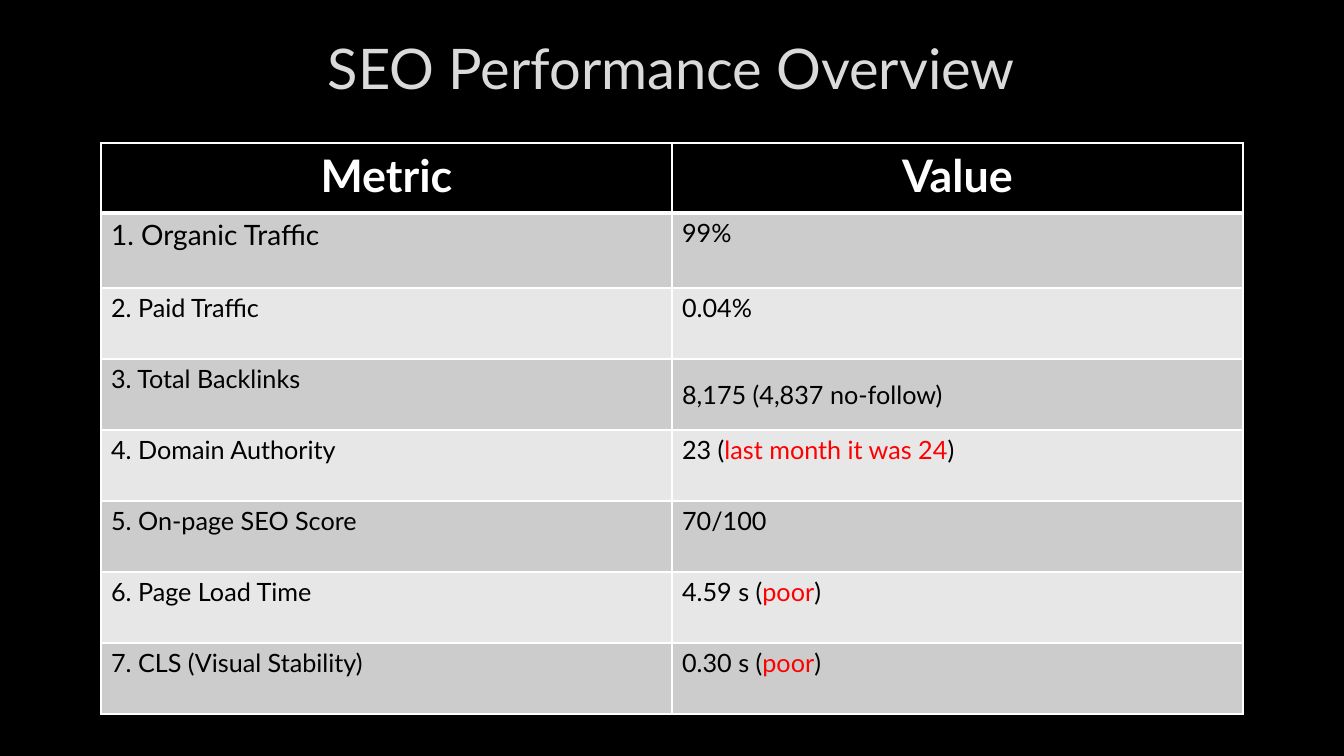
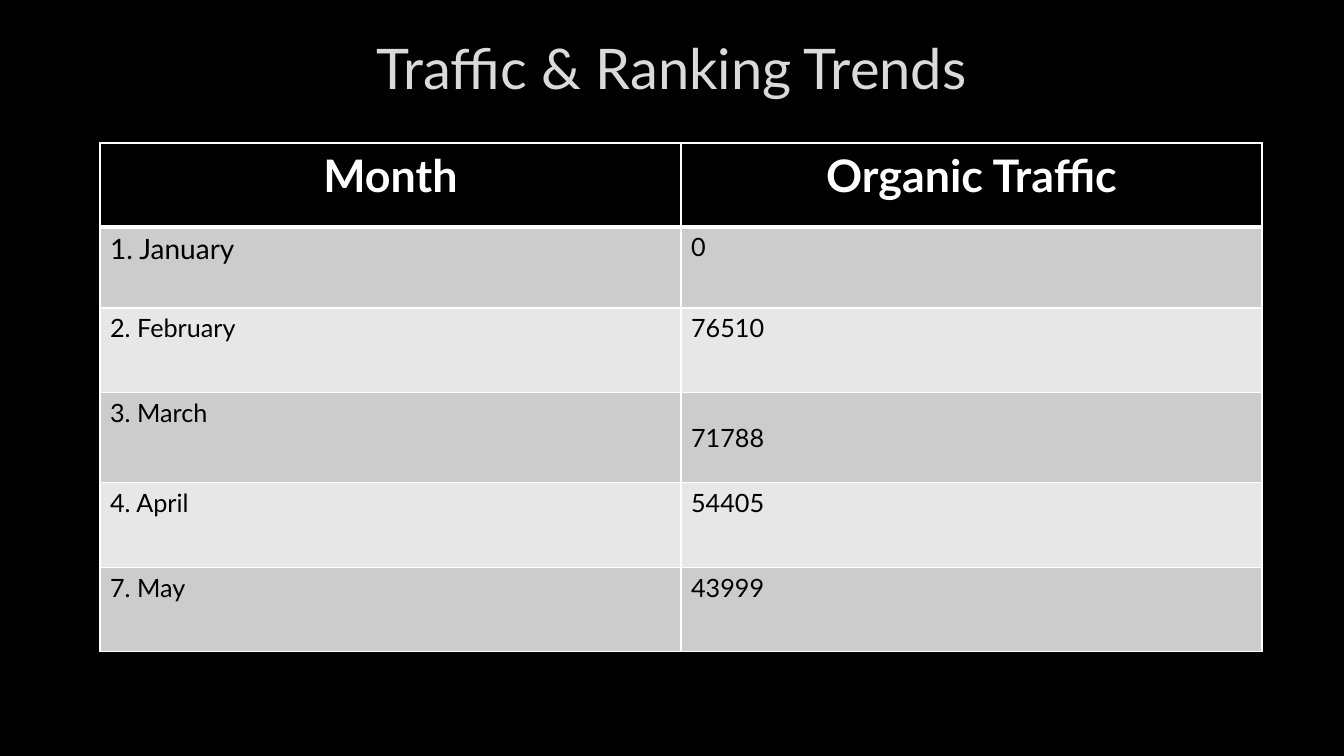
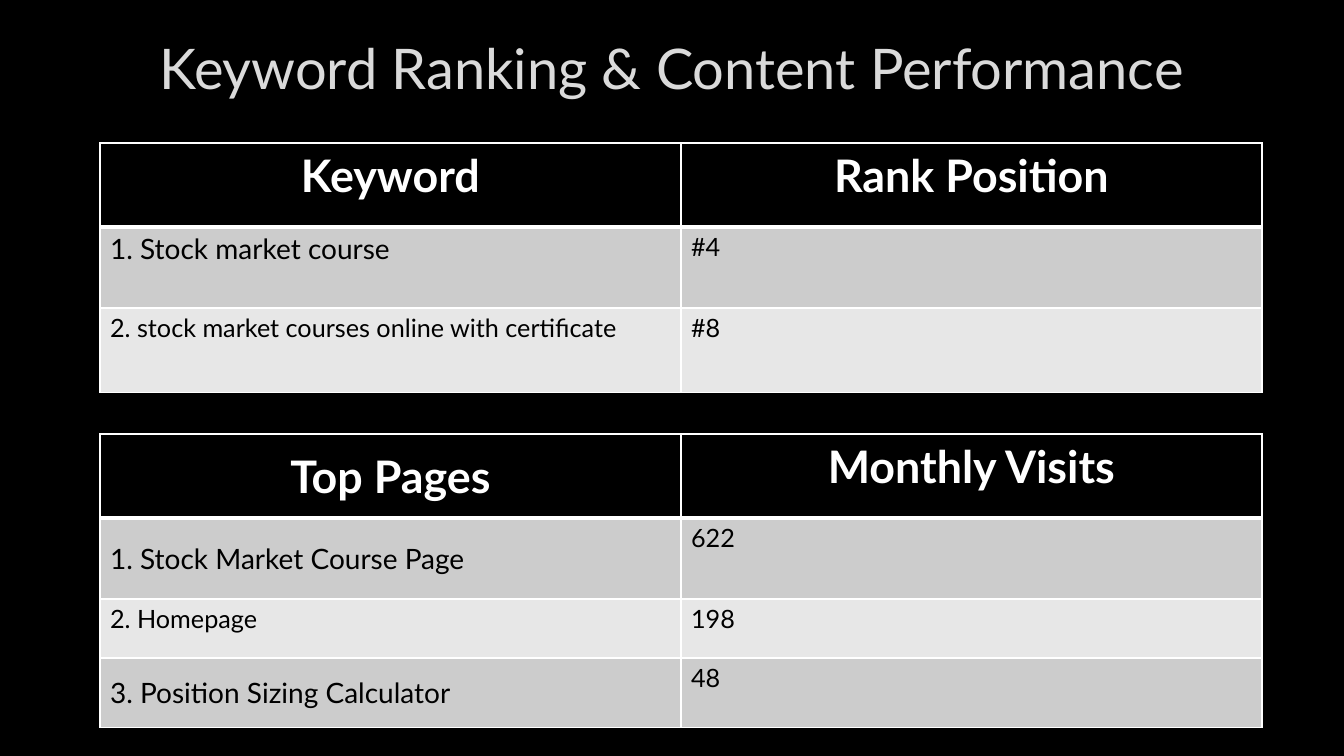
from lxml import etree
from pptx import Presentation
from pptx import util as u
from pptx.dml.color import RGBColor
from pptx.enum import text
from pptx.oxml import ns

PX = 12192000 // 1344
FONT = "Lato"
COLORS = {
    "background": "000000",
    "title": "DADADA",
    "header": "000000",
    "header_text": "FFFFFF",
    "body_text": "000000",
    "odd_row": "CCCCCC",
    "even_row": "E7E7E7",
    "warning": "FF0000",
    "border": "FFFFFF",
}

# Each cell is a string, or a tuple whose second part is a warning.
# "middle" and "large" hold (row, column) positions.
WIDE = {"left": 100, "column": 581}
SLIDES = [
    ("SEO Performance Overview", [
        {"left": 101, "top": 143, "column": 571,
         "heights": [70, 75] + [71] * 6,
         "middle": {(3, 1)}, "large": {(1, 0)},
         "rows": [
             ("Metric", "Value"),
             ("1. Organic Traffic", "99%"),
             ("2. Paid Traffic", "0.04%"),
             ("3. Total Backlinks", "8,175 (4,837 no-follow)"),
             ("4. Domain Authority", ("23 (", "last month it was 24", ")")),
             ("5. On-page SEO Score", "70/100"),
             ("6. Page Load Time", ("4.59 s (", "poor", ")")),
             ("7. CLS (Visual Stability)", ("0.30 s (", "poor", ")")),
         ]},
    ]),
    ("Traffic & Ranking Trends", [
        {**WIDE, "top": 143, "heights": [84, 81, 85, 90, 85, 84],
         "middle": {(3, 1)}, "large": {(1, 0)},
         "rows": [
             ("Month", "Organic Traffic"),
             ("1. January", "0"),
             ("2. February", "76510"),
             ("3. March", "71788"),
             ("4. April", "54405"),
             ("7. May", "43999"),
         ]},
    ]),
    ("Keyword Ranking & Content Performance", [
        {**WIDE, "top": 143, "heights": [84, 81, 85],
         "middle": set(), "large": {(1, 0)},
         "rows": [
             ("Keyword", "Rank Position"),
             ("1. Stock market course", "#4"),
             ("2. stock market courses online with certificate", "#8"),
         ]},
        {**WIDE, "top": 434, "heights": [84, 81, 59, 70],
         "middle": {(0, 0), (1, 0), (3, 0)}, "large": {(1, 0), (3, 0)},
         "rows": [
             ("Top Pages", "Monthly Visits"),
             ("1. Stock Market Course Page", "622"),
             ("2. Homepage", "198"),
             ("3. Position Sizing Calculator", "48"),
         ]},
    ]),
]


def style_run(run, size, color, bold=False):
    run.font.name = FONT
    run.font.size = u.Pt(size)
    run.font.bold = bold
    run.font.color.rgb = RGBColor.from_string(COLORS[color])


def add_borders(cell, row):
    """Draw thin cell borders, with a thick rule under the header row."""
    properties = cell._tc.get_or_add_tcPr()
    thick_side = {0: "lnB", 1: "lnT"}.get(row)
    for side in ("lnL", "lnR", "lnT", "lnB"):
        width = u.Pt(3 if side == thick_side else 1)
        line = etree.SubElement(properties, ns.qn(f"a:{side}"), w=str(width))
        fill = etree.SubElement(line, ns.qn("a:solidFill"))
        etree.SubElement(fill, ns.qn("a:srgbClr"), val=COLORS["border"])


prs = Presentation()
prs.slide_width, prs.slide_height = 1344 * PX, 756 * PX
backdrop = prs.slide_master.background.fill
backdrop.solid()
backdrop.fore_color.rgb = RGBColor.from_string(COLORS["background"])

for heading, grids in SLIDES:
    slide = prs.slides.add_slide(prs.slide_layouts[6])

    title = slide.shapes.add_textbox(101 * PX, 14 * PX, 1141 * PX, 107 * PX).text_frame
    title.word_wrap = True
    title.vertical_anchor = text.MSO_ANCHOR.MIDDLE
    title.text = heading
    title.paragraphs[0].alignment = text.PP_ALIGN.CENTER
    style_run(title.paragraphs[0].runs[0], 40, "title")

    for grid in grids:
        rows, heights = grid["rows"], grid["heights"]
        table = slide.shapes.add_table(
            len(rows), 2, grid["left"] * PX, grid["top"] * PX,
            2 * grid["column"] * PX, sum(heights) * PX).table
        for column in table.columns:
            column.width = grid["column"] * PX

        for r, (height, values) in enumerate(zip(heights, rows)):
            table.rows[r].height = height * PX
            row_fill = "header" if r == 0 else "odd_row" if r % 2 else "even_row"
            for c, value in enumerate(values):
                cell = table.cell(r, c)
                add_borders(cell, r)
                cell.fill.solid()
                cell.fill.fore_color.rgb = RGBColor.from_string(COLORS[row_fill])
                if (r, c) in grid["middle"]:
                    cell.vertical_anchor = text.MSO_ANCHOR.MIDDLE

                paragraph = cell.text_frame.paragraphs[0]
                if r == 0:
                    paragraph.alignment = text.PP_ALIGN.CENTER
                size = 32 if r == 0 else 20 if (r, c) in grid["large"] else 18
                parts = (value,) if isinstance(value, str) else value
                for i, part in enumerate(parts):
                    run = paragraph.add_run()
                    run.text = part
                    color = "header_text" if r == 0 else "warning" if i == 1 else "body_text"
                    style_run(run, size, color, bold=r == 0)

prs.save("out.pptx")
